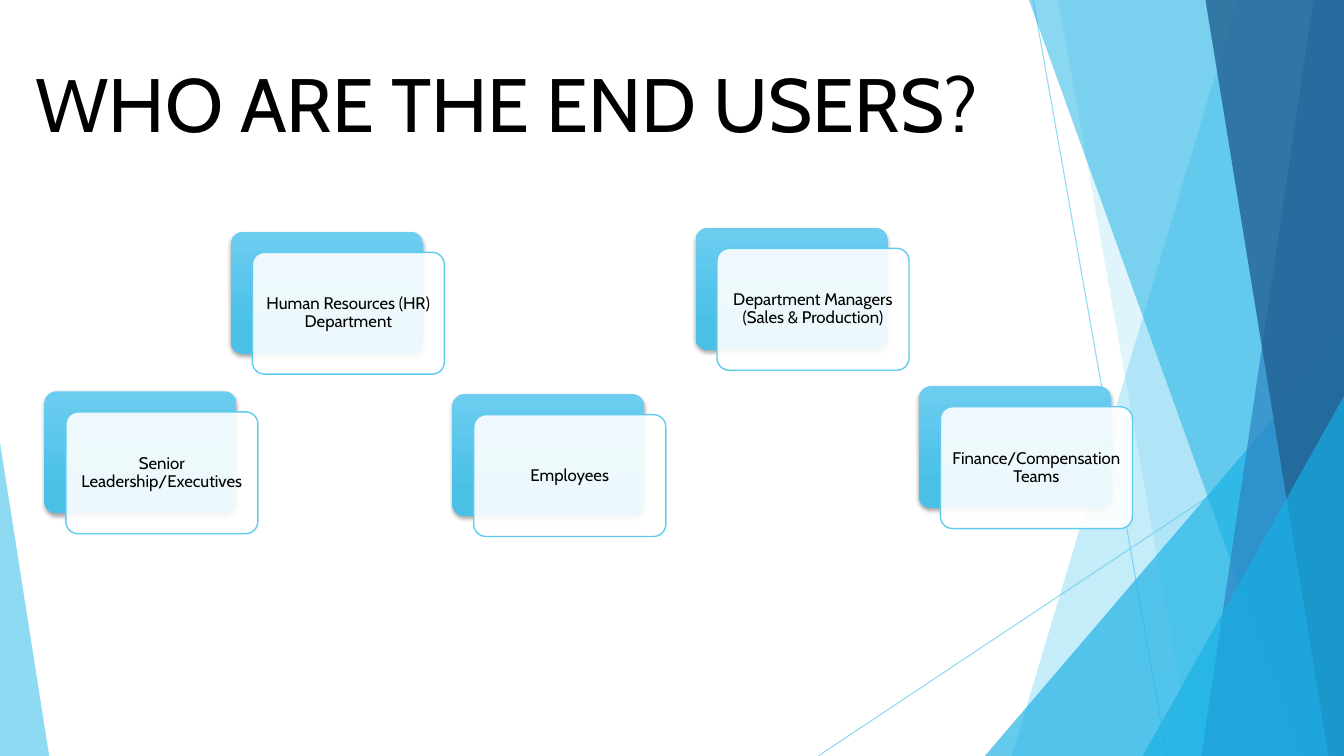
"""Build the slide that names the end users."""
import pptx
import pptx.dml.color
import pptx.enum.shapes
import pptx.enum.text
import pptx.oxml
import pptx.oxml.ns
import pptx.util

Cm = pptx.util.Cm
Pt = pptx.util.Pt
RGB = pptx.dml.color.RGBColor
KIND = pptx.enum.shapes.MSO_SHAPE
ALIGN = pptx.enum.text.PP_ALIGN
ANCHOR = pptx.enum.text.MSO_ANCHOR

BLACK = RGB(0x00, 0x00, 0x00)
WHITE = RGB(0xFF, 0xFF, 0xFF)
SKY = RGB(0x5F, 0xCB, 0xEF)
AQUA = RGB(0x17, 0xB0, 0xE4)
BLUE = RGB(0x2E, 0x83, 0xC3)
NAVY = RGB(0x22, 0x62, 0x92)
LIGHT = RGB(0x6C, 0xCD, 0xF0)
DEEP = RGB(0x4B, 0xC0, 0xE6)

WIDE, HIGH = 33.87, 19.05
CARD_W, CARD_H = 4.84, 3.07
STEP_X, STEP_Y = 0.54, 0.52

USERS = [
    ("Human Resources (HR) Department", 5.82, 5.84),
    ("Department Managers (Sales & Production)", 17.53, 5.74),
    ("Senior Leadership/Executives", 1.12, 9.86),
    ("Employees", 11.4, 9.93),
    ("Finance/Compensation Teams", 23.16, 9.73),
]


def fade(shape, share):
    """Set the opacity, in percent, of the colours a shape has so far."""
    for tint in shape.element.iter(pptx.oxml.ns.qn("a:srgbClr")):
        alpha = tint.makeelement(pptx.oxml.ns.qn("a:alpha"), {"val": str(share * 1000)})
        tint.append(alpha)


def paint(shape, tint, share):
    """Give a shape a see-through fill with no outline or shadow."""
    shape.shadow.inherit = False
    shape.fill.solid()
    shape.fill.fore_color.rgb = tint
    fade(shape, share)
    shape.line.fill.background()


def cast(shape):
    """Drop a soft shadow below a shape."""
    shape.shadow.inherit = False
    space = pptx.oxml.ns.nsdecls("a")
    soft = pptx.oxml.parse_xml(
        f'<a:outerShdw {space} blurRad="{Pt(3)}" dist="{Pt(2)}" dir="5400000" '
        'algn="ctr" rotWithShape="0"><a:srgbClr val="000000">'
        '<a:alpha val="35000"/></a:srgbClr></a:outerShdw>')
    shape.element.spPr.find(pptx.oxml.ns.qn("a:effectLst")).append(soft)


def write(shape, text, size=12, align=ALIGN.LEFT, anchor=ANCHOR.TOP, inset=None, space=None):
    """Put one styled paragraph into a shape."""
    frame = shape.text_frame
    frame.word_wrap = True
    frame.vertical_anchor = anchor
    if inset is not None:
        frame.margin_left = frame.margin_right = Cm(inset)
        frame.margin_top = frame.margin_bottom = Cm(inset)
    para = frame.paragraphs[0]
    para.alignment = align
    para.line_spacing = space
    run = para.add_run()
    run.text = text
    run.font.name = "Cabin"
    run.font.size = Pt(size)
    run.font.color.rgb = BLACK


def add_ray(slide, start, end):
    """Draw one thin line of the backdrop."""
    ray = slide.shapes.add_connector(
        pptx.enum.shapes.MSO_CONNECTOR.STRAIGHT, *map(Cm, start + end))
    ray.line.color.rgb = SKY
    ray.line.width = Pt(0.75)
    fade(ray, 70)
    ray.element.spPr.append(ray.element.makeelement(pptx.oxml.ns.qn("a:effectLst"), {}))


def add_band(slide, right, y, h, top, base, tint, share):
    """Draw a band from a slanted left edge to the right side."""
    edge = [(right, y), (right, y + h), (base, y + h)]
    pen = slide.shapes.build_freeform(Cm(top), Cm(y))
    pen.add_line_segments([(Cm(a), Cm(b)) for a, b in edge], close=True)
    paint(pen.convert_to_shape(), tint, share)


def add_wedge(slide, x, y, w, h, peak, tint, share):
    """Draw a right triangle with its peak at the left (0) or right (1)."""
    wedge = slide.shapes.add_shape(KIND.ISOSCELES_TRIANGLE, Cm(x), Cm(y), Cm(w), Cm(h))
    wedge.adjustments[0] = peak
    paint(wedge, tint, share)


def add_backdrop(slide, x, y, w, h):
    """Draw the layered facets along both sides of the box."""
    right, foot = x + w, y + h
    add_ray(slide, (right - 7.83, y), (right - 4.46, foot))
    add_ray(slide, (right, foot - 8.81), (right - 13.25, foot))

    def band(top, base, tint, share):
        """Draw a band whose edge is measured from the right side."""
        add_band(slide, right, y, h, right - top, right - base, tint, share)

    def wedge(wide, tall, tint, share):
        """Draw a triangle in the lower right corner."""
        add_wedge(slide, right - wide, foot - tall, wide, tall, 1, tint, share)

    band(2.68, 8.37, SKY, 36)
    band(7.2, 3.82, SKY, 20)
    wedge(9.05, 10.58, AQUA, 66)
    band(7.94, 1.08, AQUA, 50)
    band(0.77, 3.59, BLUE, 70)
    band(3.49, 0.39, NAVY, 80)
    wedge(5.07, 9.07, AQUA, 66)
    add_wedge(slide, x, foot - 7.9, 1.24, 7.9, 0, SKY, 70)


def add_title(slide, x, y, w, h):
    """Write the heading."""
    box = slide.shapes.add_textbox(Cm(x), Cm(y), Cm(w), Cm(h))
    write(box, "WHO ARE THE END USERS?", size=54)
    box.text_frame.auto_size = pptx.enum.text.MSO_AUTO_SIZE.SHAPE_TO_FIT_TEXT


def add_card(slide, text, x, y, w, h):
    """Draw a blue plate with a labelled pane shifted in front of it."""
    plate, pane = [
        slide.shapes.add_shape(KIND.ROUNDED_RECTANGLE, Cm(x + dx), Cm(y + dy), Cm(w), Cm(h))
        for dx, dy in ((0, 0), (STEP_X, STEP_Y))]
    plate.adjustments[0] = pane.adjustments[0] = 0.1
    plate.fill.gradient()
    plate.fill.gradient_angle = 270
    for stop, tint, place in zip(plate.fill.gradient_stops, (LIGHT, DEEP), (0, 0.78)):
        stop.color.rgb = tint
        stop.position = place
    plate.line.fill.background()
    cast(plate)
    paint(pane, WHITE, 90)
    pane.line.color.rgb = SKY
    pane.line.width = Pt(1)
    write(pane, text, align=ALIGN.CENTER, anchor=ANCHOR.MIDDLE, inset=0.13, space=0.9)


def main():
    """Build and save the deck."""
    deck = pptx.Presentation()
    deck.slide_width, deck.slide_height = Cm(WIDE), Cm(HIGH)
    slide = deck.slides.add_slide(deck.slide_layouts[6])
    add_backdrop(slide, 0, 0, WIDE, HIGH)
    add_title(slide, 0.64, 1.3, 24.64, 2.57)
    for text, x, y in USERS:
        add_card(slide, text, x, y, CARD_W, CARD_H)
    deck.save("out.pptx")


if __name__ == "__main__":
    main()
